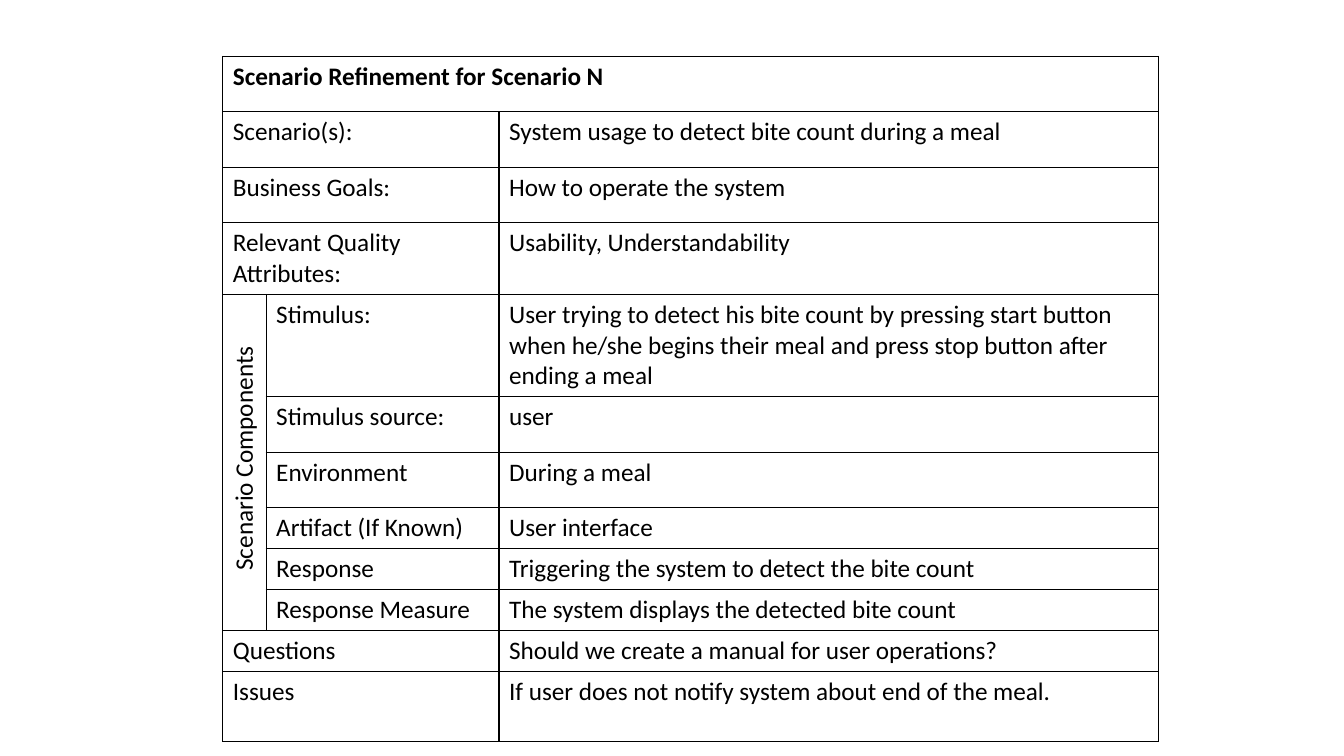
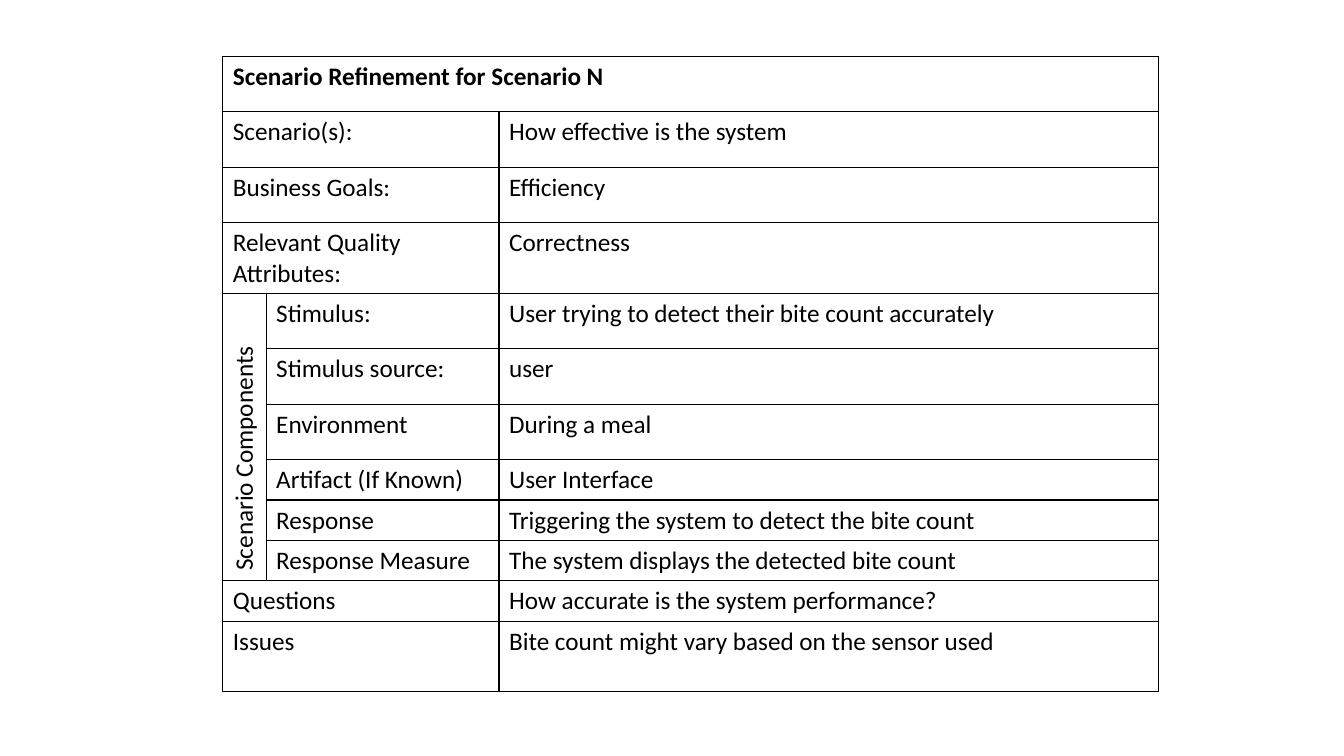
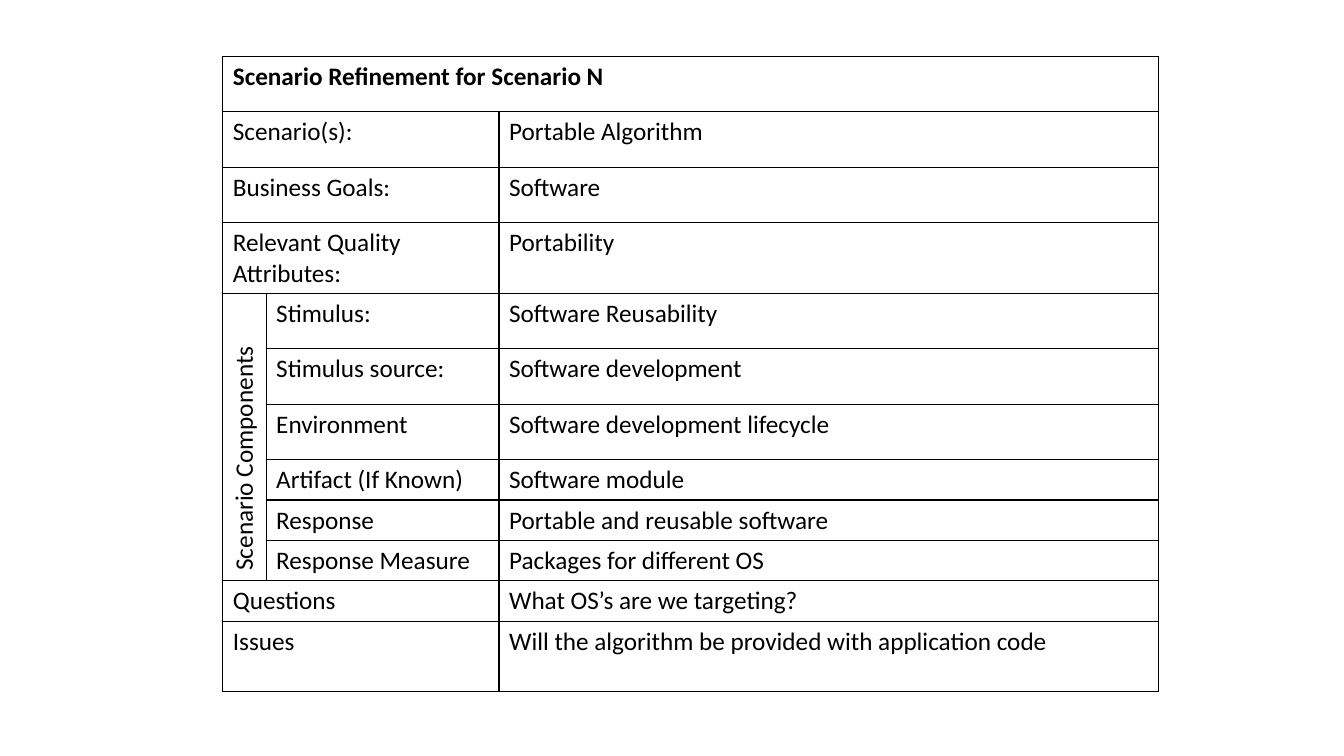
from lxml import etree
from pptx import Presentation
from pptx.dml.color import RGBColor
from pptx.enum.text import MSO_AUTO_SIZE
from pptx.oxml.ns import qn
from pptx.util import Inches, Pt

GROW_TO_TEXT = MSO_AUTO_SIZE.SHAPE_TO_FIT_TEXT

COLORS = {"ink": "000000"}
FONT = "Calibri"
TEXT_SIZE = 18
BORDER_WIDTH = 1

HEADING = "Scenario Refinement for Scenario N"
GROUP_LABEL = "Scenario Components"
GROUP_FIRST, GROUP_LAST = 4, 9
COLUMN_WIDTHS = [0.43, 2.31, 6.54]
TABLE_LEFT, TABLE_TOP = 2.21, 0.56
STIMULUS_ROW = 4

# Label and height of each row below the heading
FIELDS = [
    ("Scenario(s):", 0.55),
    ("Business Goals:", 0.55),
    ("Relevant Quality Attributes:", 0.7),
    ("Stimulus:", 0.55),
    ("Stimulus source:", 0.55),
    ("Environment", 0.55),
    ("Artifact (If Known)", 0.4),
    ("Response", 0.4),
    ("Response Measure", 0.4),
    ("Questions", 0.4),
    ("Issues", 0.7),
]
ROW_HEIGHTS = [0.55] + [height for _, height in FIELDS]

# Stimulus row height and the answers to the fields, one entry per slide
SCENARIOS = [
    (1.0, [
        "System usage to detect bite count during a meal",
        "How to operate the system",
        "Usability, Understandability",
        "User trying to detect his bite count by pressing start button when "
        "he/she begins their meal and press stop button after ending a meal",
        "user",
        "During a meal",
        "User interface",
        "Triggering the system to detect the bite count",
        "The system displays the detected bite count",
        "Should we create a manual for user operations?",
        "If user does not notify system about end of the meal.",
    ]),
    (0.55, [
        "How effective is the system",
        "Efficiency",
        "Correctness",
        "User trying to detect their bite count accurately",
        "user",
        "During a meal",
        "User Interface",
        "Triggering the system to detect the bite count",
        "The system displays the detected bite count",
        "How accurate is the system performance?",
        "Bite count might vary based on the sensor used",
    ]),
    (0.55, [
        "Portable Algorithm",
        "Software",
        "Portability",
        "Software Reusability",
        "Software development",
        "Software development lifecycle",
        "Software module",
        "Portable and reusable software",
        "Packages for different OS",
        "What OS’s are we targeting?",
        "Will the algorithm be provided with application code",
    ]),
]


def write_text(frame, text, size=TEXT_SIZE, bold=False, color="ink"):
    """Put one formatted run into a text frame."""
    run = frame.paragraphs[0].add_run()
    run.text = text
    run.font.name = FONT
    run.font.size = Pt(size)
    run.font.bold = bold
    run.font.color.rgb = RGBColor.from_string(COLORS[color])


def outline_cell(cell):
    """Give a cell solid borders on all sides and no fill."""
    properties = cell._tc.get_or_add_tcPr()
    for side in ("a:lnL", "a:lnR", "a:lnT", "a:lnB"):
        line = etree.SubElement(properties, qn(side), w=str(Pt(BORDER_WIDTH)))
        solid = etree.SubElement(line, qn("a:solidFill"))
        etree.SubElement(solid, qn("a:srgbClr"), val=COLORS["ink"])
    cell.fill.background()


prs = Presentation()
prs.slide_width = Inches(13.33)
prs.slide_height = Inches(7.5)
blank_layout = prs.slide_layouts[6]

for stimulus_height, answers in SCENARIOS:
    slide = prs.slides.add_slide(blank_layout)
    heights = list(ROW_HEIGHTS)
    heights[STIMULUS_ROW] = stimulus_height

    refinement = slide.shapes.add_table(
        len(heights), len(COLUMN_WIDTHS), Inches(TABLE_LEFT), Inches(TABLE_TOP),
        Inches(sum(COLUMN_WIDTHS)), Inches(sum(heights))).table
    refinement.first_row = False
    refinement.horz_banding = False
    for column, width in zip(refinement.columns, COLUMN_WIDTHS):
        column.width = Inches(width)
    for row, height in zip(refinement.rows, heights):
        row.height = Inches(height)
    for cell in refinement.iter_cells():
        outline_cell(cell)

    heading = refinement.cell(0, 0)
    heading.merge(refinement.cell(0, 2))
    write_text(heading.text_frame, HEADING, bold=True)
    refinement.cell(GROUP_FIRST, 0).merge(refinement.cell(GROUP_LAST, 0))

    for index, ((label, _), answer) in enumerate(zip(FIELDS, answers), start=1):
        if GROUP_FIRST <= index <= GROUP_LAST:
            label_cell = refinement.cell(index, 1)
        else:
            label_cell = refinement.cell(index, 0)
            label_cell.merge(refinement.cell(index, 1))
        write_text(label_cell.text_frame, label)
        write_text(refinement.cell(index, 2).text_frame, answer)

    group = slide.shapes.add_textbox(
        Inches(1.19), Inches(4.34), Inches(2.44), Inches(0.4))
    group.rotation = 270
    group.text_frame.word_wrap = True
    group.text_frame.auto_size = GROW_TO_TEXT
    write_text(group.text_frame, GROUP_LABEL)

prs.save("out.pptx")
